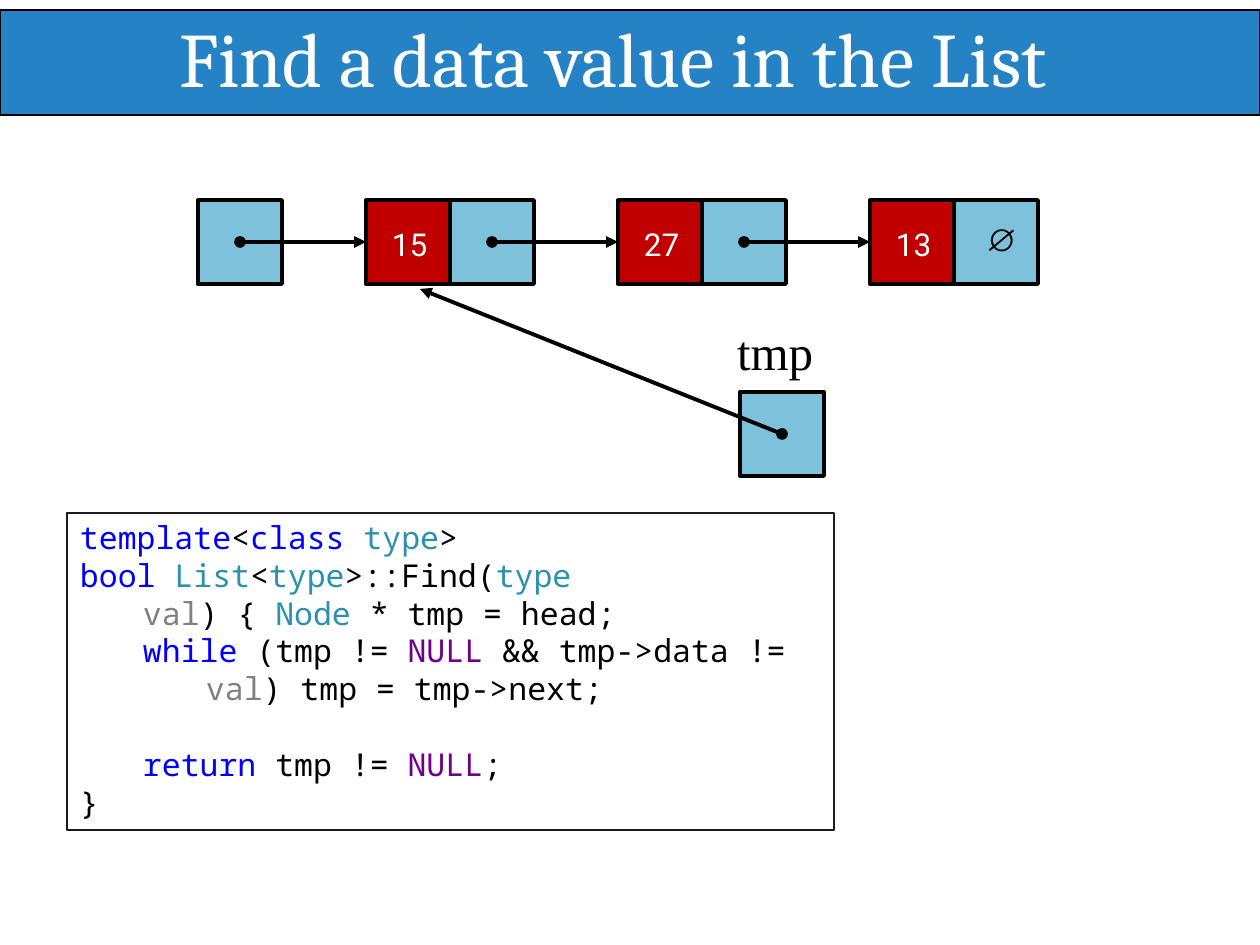
from dataclasses import dataclass

from lxml import etree
from pptx import Presentation
from pptx.dml.color import RGBColor
from pptx.enum.shapes import MSO_CONNECTOR, MSO_SHAPE
from pptx.enum.text import MSO_ANCHOR, MSO_AUTO_SIZE, PP_ALIGN
from pptx.oxml.ns import qn
from pptx.util import Pt

RECT = MSO_SHAPE.RECTANGLE
STRAIGHT = MSO_CONNECTOR.STRAIGHT
TOP = MSO_ANCHOR.TOP
NO_FIT = MSO_AUTO_SIZE.NONE
LEFT = PP_ALIGN.LEFT

EMU_PER_PX = 914400 / 126
CELL = 84
NODE_PITCH = 3 * CELL
HEAD_X, FIRST_NODE_X, LIST_Y = 198, 366, 200
TMP_X, TMP_Y = 740, 392

COLORS = {
    "band": "2583C5",
    "pointer": "7EC1DB",
    "data": "C00000",
    "white": "FFFFFF",
    "black": "000000",
    "frame": "1B1A22",
    "keyword": "0000FF",
    "type": "2B91AE",
    "param": "808080",
    "macro": "6E0089",
}


@dataclass
class Label:
    text: str
    font: str
    size: int
    color: str
    inset_left: int
    inset_top: int


@dataclass
class CodeLine:
    runs: list[tuple[str, str]]
    left: int = 13
    hanging: int = 0
    right: int = 0
    before: int = 0


CODE = [
    CodeLine([("template", "keyword"), ("<", "black"), ("class ", "keyword"),
              ("type", "type"), (">", "black")]),
    CodeLine([("bool ", "keyword"), ("List", "type"), ("<", "black"), ("type", "type"),
              (">::Find(", "black"), ("type ", "type"), ("val", "param"),
              (") { ", "black"), ("Node ", "type"), ("* tmp = head;", "black")],
             left=76, hanging=63, right=194),
    CodeLine([("while ", "keyword"), ("(tmp != ", "black"), ("NULL ", "macro"),
              ("&& tmp->data != ", "black"), ("val", "param"),
              (") tmp = tmp->next;", "black")], left=139, hanging=63),
    CodeLine([("return ", "keyword"), ("tmp != ", "black"), ("NULL", "macro"),
              (";", "black")], left=76, before=22),
    CodeLine([("}", "black")]),
]


def px(n: int) -> int:
    return round(n * EMU_PER_PX)


def rgb(name: str) -> RGBColor:
    return RGBColor.from_string(COLORS[name])


def set_frame(tf, left: int = 0, top: int = 0, wrap: bool = True) -> None:
    tf.margin_left, tf.margin_top = px(left), px(top)
    tf.margin_right = tf.margin_bottom = 0
    tf.vertical_anchor = TOP
    tf.auto_size = NO_FIT
    tf.word_wrap = wrap


def write(tf, label: Label) -> None:
    set_frame(tf, label.inset_left, label.inset_top, wrap=False)
    p = tf.paragraphs[0]
    p.text = label.text
    p.alignment = LEFT
    p.font.name = label.font
    p.font.size = Pt(label.size)
    p.font.color.rgb = rgb(label.color)


def add_box(s, x: int, y: int, w: int, h: int, fill: str | None,
            line: str = "black", weight: float = 0.75):
    sp = s.shapes.add_shape(RECT, px(x), px(y), px(w), px(h))
    sp.shadow.inherit = False
    if fill:
        sp.fill.solid()
        sp.fill.fore_color.rgb = rgb(fill)
    else:
        sp.fill.background()
    sp.line.color.rgb = rgb(line)
    sp.line.width = Pt(weight)
    return sp


def add_cell(s, x: int, y: int, fill: str, label: Label | None = None) -> None:
    sp = add_box(s, x, y, CELL, CELL, fill, weight=2.25)
    if label:
        write(sp.text_frame, label)


def add_pointer(s, x1: int, y1: int, x2: int, y2: int) -> None:
    """Draw an arrow that starts with a dot."""
    c = s.shapes.add_connector(STRAIGHT, px(x1), px(y1), px(x2), px(y2))
    c.line.color.rgb = rgb("black")
    c.line.width = Pt(2.25)
    ln = c.line._get_or_add_ln()
    etree.SubElement(ln, qn("a:headEnd"), type="oval")
    etree.SubElement(ln, qn("a:tailEnd"), type="triangle")
    etree.SubElement(c.element.spPr, qn("a:effectLst"))


def add_title(s) -> None:
    title = s.shapes.title
    title.left, title.top, title.width, title.height = px(118), px(8), px(1023), px(101)
    write(title.text_frame,
          Label("Find a data value in the List", "Cambria", 44, "white", 61, 3))
    band = add_box(s, 0, 10, 1260, 105, "band")
    title.element.addprevious(band.element)


def add_linked_list(s, values: list[str]) -> None:
    mid_y = LIST_Y + CELL // 2
    add_cell(s, HEAD_X, LIST_Y, "pointer")
    add_pointer(s, HEAD_X + CELL // 2, mid_y, FIRST_NODE_X, mid_y)
    for i, value in enumerate(values):
        x = FIRST_NODE_X + i * NODE_PITCH
        last = i == len(values) - 1
        null = Label("∅", "Arial", 18, "black", 32, 20) if last else None
        add_cell(s, x + CELL, LIST_Y, "pointer", null)
        add_cell(s, x, LIST_Y, "data", Label(value, "Roboto", 18, "white", 26, 25))
        if not last:
            add_pointer(s, x + CELL * 3 // 2, mid_y, x + NODE_PITCH, mid_y)


def add_tmp(s) -> None:
    add_cell(s, TMP_X, TMP_Y, "pointer")
    add_pointer(s, TMP_X + CELL // 2, TMP_Y + CELL // 2, 420, 289)
    box = s.shapes.add_textbox(px(736), px(321), px(79), px(62))
    write(box.text_frame, Label("tmp", "Times New Roman", 28, "black", 1, 1))


def add_code(s, lines: list[CodeLine]) -> None:
    tf = add_box(s, 67, 513, 767, 317, None, line="frame").text_frame
    set_frame(tf, top=5)
    for i, line in enumerate(lines):
        p = tf.paragraphs[0] if i == 0 else tf.add_paragraph()
        p.alignment = LEFT
        pPr = p._p.get_or_add_pPr()
        pPr.set("marL", str(px(line.left)))
        pPr.set("marR", str(px(line.right)))
        pPr.set("indent", str(-px(line.hanging)))
        if line.before:
            p.space_before = Pt(line.before)
        p.font.name = "Noto Sans Mono"
        p.font.size = Pt(18)
        for text, color in line.runs:
            r = p.add_run()
            r.text = text
            r.font.color.rgb = rgb(color)


def main() -> None:
    prs = Presentation()
    prs.slide_width, prs.slide_height = px(1260), px(945)
    s = prs.slides.add_slide(prs.slide_layouts[5])
    add_title(s)
    add_tmp(s)
    add_linked_list(s, ["15", "27", "13"])
    add_code(s, CODE)
    prs.save("out.pptx")


if __name__ == "__main__":
    main()
